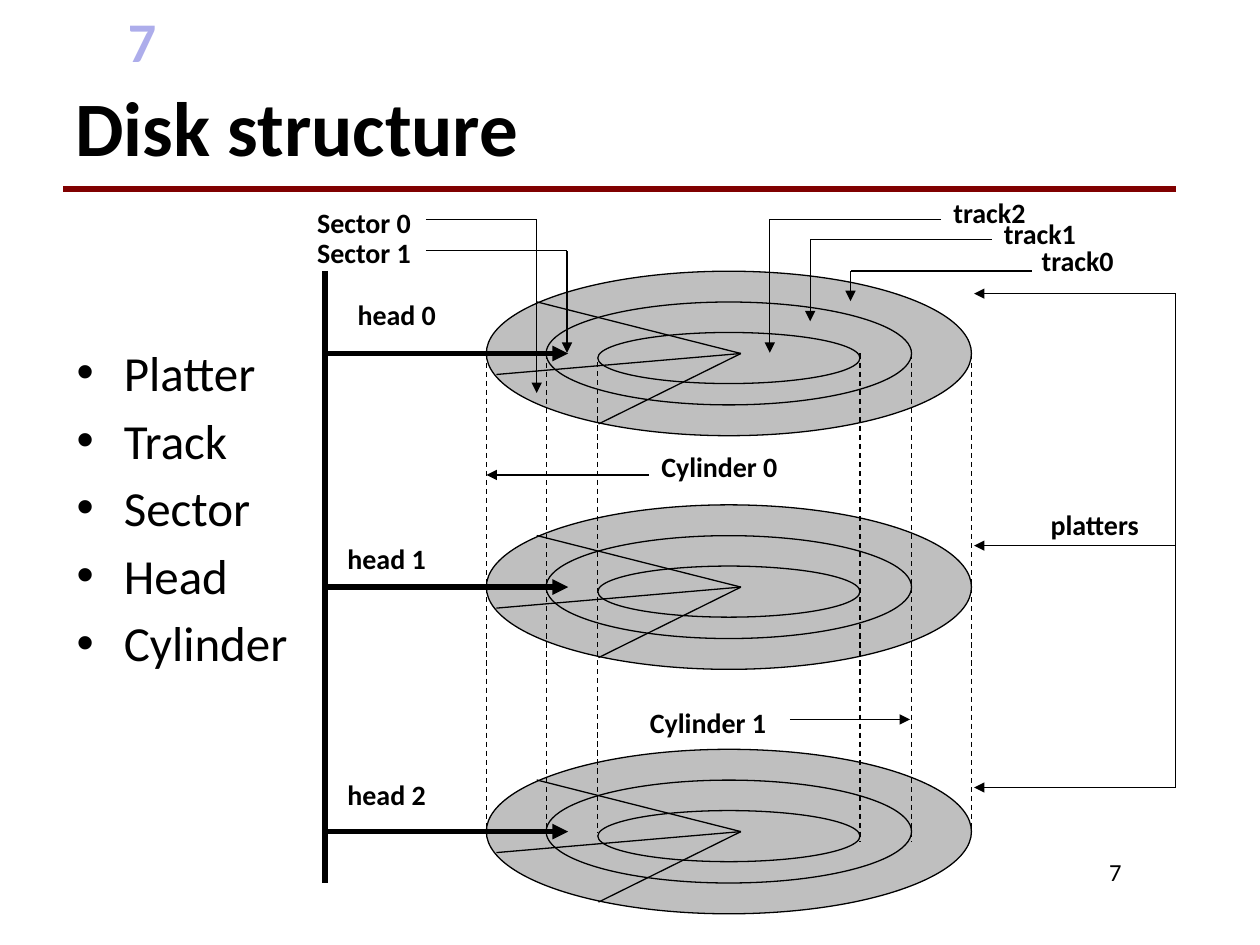
from pptx import Presentation
from pptx.dml.color import RGBColor
from pptx.enum.dml import MSO_LINE
from pptx.enum.shapes import MSO_CONNECTOR, MSO_SHAPE
from pptx.enum.text import MSO_ANCHOR, PP_ALIGN
from pptx.oxml.ns import qn
from pptx.util import Pt
from lxml import etree

STRAIGHT, OVAL, DASH = MSO_CONNECTOR.STRAIGHT, MSO_SHAPE.OVAL, MSO_LINE.DASH
TOP, MIDDLE = MSO_ANCHOR.TOP, MSO_ANCHOR.MIDDLE
LEFT, RIGHT = PP_ALIGN.LEFT, PP_ALIGN.RIGHT

FONT = "Calibri"
COLORS = {"ink": "000000", "rule": "800000", "number": "ADADEB", "platter": "BFBFBF"}
THIN, THICK = 0.75, 3

TITLE = "Disk structure"
SLIDE_NUMBER = "7"
TERMS = ["Platter", "Track", "Sector", "Head", "Cylinder"]

# Platter geometry: every platter repeats the same rings and sector lines
PLATTER_X = 416.5
PLATTER_YS = [202, 335.5, 475.2]
RINGS = [(277.2, 94, 0), (208.8, 58.8, 0), (149.8, 29.2, 2.6)]  # width, height, drop
HUB_X = 423.4
SECTOR_ENDS = [(306.7, -29.5), (283.7, 12), (342, 40.3)]  # x, offset from hub
CYLINDER_ENDS = [(202, 476), (202, 476), (207, 476)]  # left side of each ring
CYLINDER_RIGHT_BOTTOMS = [476, 481, 481]

ARM_X, ARM_TOP, ARM_BOTTOM, HEAD_TIP = 185.8, 154.8, 504.7, 324.7
BRACKET_X, PLATTER_EDGE = 671.8, 556.6
BRACKET_YS = [167.8, 311.8, 450]

# Callouts: line start x, bend x, line y, arrow tip y
CALLOUTS = [
    (537.8, 439.9, 125.3, 201.6),
    (566.6, 463, 136.8, 183.6),
    (589.7, 486, 154.8, 172.1),
    (243.4, 306.7, 125.3, 224.6),
    (243.4, 324, 143.3, 201.6),
]
CYLINDER_ARROWS = [(370.8, 278, 271.4), (451.4, 520, 411.1)]  # from x, to x, y

LABELS = [  # text, left, top, width
    ("track0", 588.2, 135.4, 75),
    ("track1", 566.6, 120.2, 75),
    ("track2", 537.8, 108, 75),
    ("platters", 593.3, 286.6, 68.4),
    ("head 0", 197.3, 166.3, 86.4),
    ("head 1", 191.5, 306, 86.4),
    ("head 2", 191.5, 440.6, 86.4),
    ("Cylinder 0", 370.8, 253.4, 110),
    ("Cylinder 1", 364.3, 399.6, 110),
    ("Sector 0", 174.2, 113.8, 86.4),
    ("Sector 1", 174.2, 131, 86.4),
]


def rgb(name):
    return RGBColor.from_string(COLORS[name])


def add_line(slide, start, end, width=THIN, color="ink", arrow=False, dashed=False):
    line = slide.shapes.add_connector(STRAIGHT, *(Pt(v) for v in (*start, *end)))
    line.line.width = Pt(width)
    line.line.color.rgb = rgb(color)
    if dashed:
        line.line.dash_style = DASH
    if arrow:
        etree.SubElement(line.line._get_or_add_ln(), qn("a:tailEnd"), type="triangle")
    etree.SubElement(line._element.spPr, qn("a:effectLst"))


def add_text(slide, lines, box, size, bold=False, color="ink", align=LEFT, anchor=TOP):
    shape = slide.shapes.add_textbox(*(Pt(v) for v in box))
    frame = shape.text_frame
    frame.word_wrap = True
    frame.vertical_anchor = anchor
    frame.text = "\n".join(lines)
    for paragraph in frame.paragraphs:
        paragraph.alignment = align
        for run in paragraph.runs:
            run.font.name = FONT
            run.font.size = Pt(size)
            run.font.bold = bold
            run.font.color.rgb = rgb(color)
    return frame


def add_bullets(frame, indent, space_before):
    for paragraph in frame.paragraphs:
        paragraph.space_before = Pt(space_before)
        properties = paragraph._p.get_or_add_pPr()
        properties.set("marL", str(Pt(indent)))
        properties.set("indent", str(Pt(-indent)))
        etree.SubElement(properties, qn("a:buFont"), typeface="Arial")
        etree.SubElement(properties, qn("a:buChar"), char="•")


def add_platter(slide, y):
    for width, height, drop in RINGS:
        box = (PLATTER_X - width / 2, y + drop - height / 2, width, height)
        ring = slide.shapes.add_shape(OVAL, *(Pt(v) for v in box))
        ring.shadow.inherit = False
        ring.fill.solid()
        ring.fill.fore_color.rgb = rgb("platter")
        ring.line.color.rgb = rgb("ink")
        ring.line.width = Pt(THIN)
    for x, offset in SECTOR_ENDS:
        add_line(slide, (HUB_X, y), (x, y + offset))


def add_cylinders(slide):
    for (width, _, _), (top, bottom), right_bottom in zip(
        RINGS, CYLINDER_ENDS, CYLINDER_RIGHT_BOTTOMS
    ):
        left, right = PLATTER_X - width / 2, PLATTER_X + width / 2
        add_line(slide, (left, top), (left, bottom), dashed=True)
        add_line(slide, (right, 202), (right, right_bottom), dashed=True)
    for start, end, y in CYLINDER_ARROWS:
        add_line(slide, (start, y), (end, y), arrow=True)


def main():
    presentation = Presentation()
    presentation.slide_width, presentation.slide_height = Pt(720), Pt(540)
    slide = presentation.slides.add_slide(presentation.slide_layouts[6])

    add_line(slide, (36, 108), (671.8, 108), THICK, "rule")
    add_text(slide, [SLIDE_NUMBER], (30.2, 0, 66.2, 41.8), 32, True, "number", RIGHT)
    add_text(slide, [TITLE], (36, 36, 635.8, 72), 44, True, anchor=MIDDLE)
    add_text(slide, [SLIDE_NUMBER], (545.8, 486, 102.2, 36), 14, align=RIGHT)

    for y in PLATTER_YS:
        add_platter(slide, y)
    add_cylinders(slide)

    add_line(slide, (ARM_X, ARM_TOP), (ARM_X, ARM_BOTTOM), THICK)
    for y in PLATTER_YS:
        add_line(slide, (ARM_X, y), (HEAD_TIP, y), THICK, arrow=True)

    add_line(slide, (BRACKET_X, BRACKET_YS[0]), (BRACKET_X, BRACKET_YS[-1]))
    for y in BRACKET_YS:
        add_line(slide, (BRACKET_X, y), (PLATTER_EDGE, y), arrow=True)

    for start_x, bend_x, y, tip_y in CALLOUTS:
        add_line(slide, (start_x, y), (bend_x, y))
        add_line(slide, (bend_x, y), (bend_x, tip_y), arrow=True)

    for text, left, top, width in LABELS:
        add_text(slide, [text], (left, top, width, 26.6), 16, True)

    terms = add_text(slide, TERMS, (36.7, 192.2, 149.8, 221), 28)
    add_bullets(terms, indent=27, space_before=5)

    presentation.save("out.pptx")


if __name__ == "__main__":
    main()
